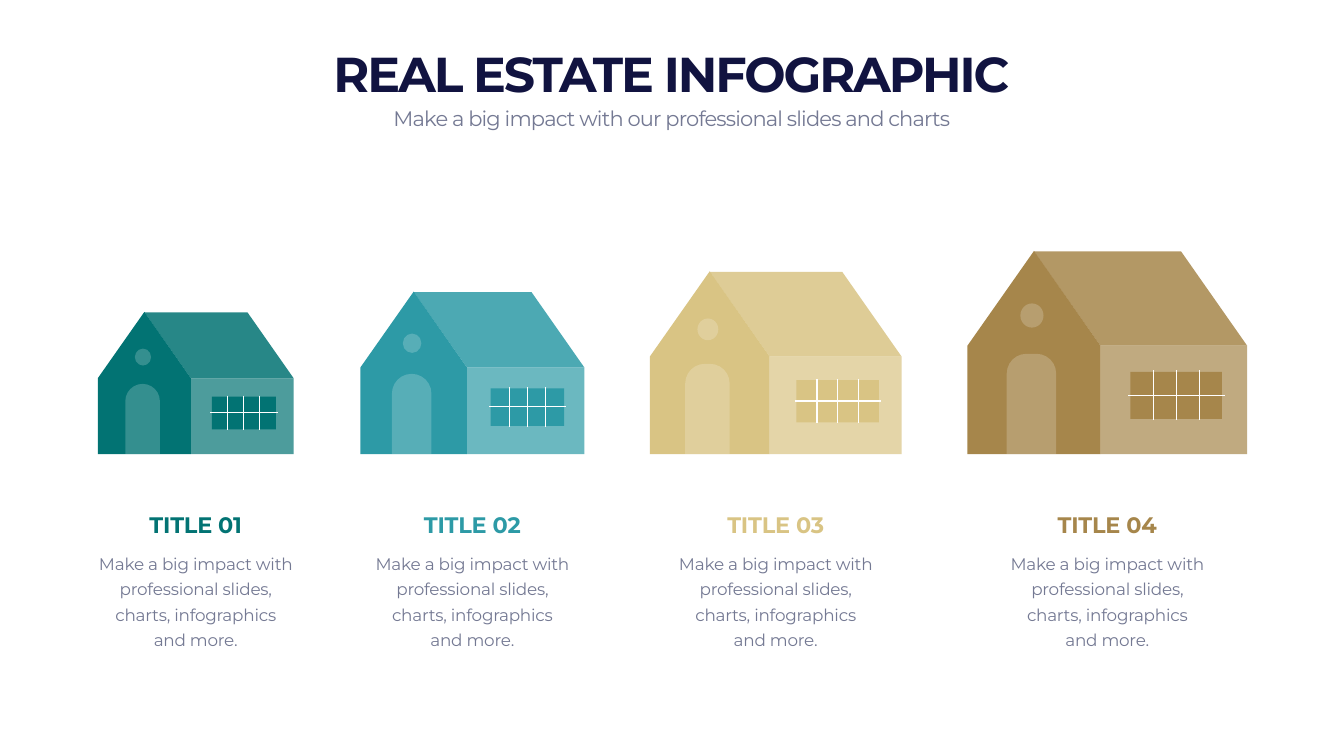
from pptx import Presentation
from pptx.util import Inches, Pt
from pptx.dml.color import RGBColor
from pptx.enum.shapes import MSO_SHAPE, MSO_CONNECTOR
from pptx.enum.text import PP_ALIGN, MSO_ANCHOR, MSO_AUTO_SIZE
from pptx.oxml.ns import qn
from lxml.etree import SubElement

COLORS = {"navy": "111340", "gray": "747993", "white": "FFFFFF",
          "teal": "027373", "aqua": "2D9AA6", "sand": "D9C484", "brown": "A6864B"}

deck = Presentation()
deck.slide_width, deck.slide_height = Inches(26.66), Inches(15)
slide = deck.slides.add_slide(deck.slide_layouts[6])


def paint(shape, color, alpha):
    shape.shadow.inherit = False
    shape.fill.solid()
    shape.fill.fore_color.rgb = RGBColor.from_string(COLORS[color])
    shape.line.fill.background()
    if alpha < 100:
        tint = shape.fill._xPr.find(".//" + qn("a:srgbClr"))
        SubElement(tint, qn("a:alpha")).set("val", str(alpha * 1000))


def write(box, text, size, color, bold, space, anchor, pitch=None):
    shape = slide.shapes.add_textbox(*map(Inches, box))
    frame = shape.text_frame
    frame.text = text
    frame.word_wrap = True
    frame.auto_size = MSO_AUTO_SIZE.SHAPE_TO_FIT_TEXT
    frame.vertical_anchor = anchor
    para = frame.paragraphs[0]
    para.alignment = PP_ALIGN.CENTER
    if pitch:
        para.line_spacing = Pt(pitch)
    run = para.runs[0]
    run.font.name = "Montserrat"
    run.font.size = Pt(size)
    run.font.bold = bold
    run.font.color.rgb = RGBColor.from_string(COLORS[color])
    run._r.get_or_add_rPr().set("spc", str(space))


base = 9.01
front = [(0, -2.15), (1.32, -4.03), (2.64, -2.15), (2.64, 0), (0, 0)]
roof = [(1.32, -4.02), (4.24, -4.02), (5.55, -2.15), (2.64, -2.15)]
parts = [
    (MSO_SHAPE.ROUND_2_SAME_RECTANGLE, (0.78, -1.99, 0.98, 1.99), "white", 20),
    (MSO_SHAPE.RECTANGLE, (2.64, -2.15, 2.91, 2.15), None, 70),
    (MSO_SHAPE.RECTANGLE, (3.23, -1.63, 1.82, 0.93), None, 100),
    (MSO_SHAPE.OVAL, (1.05, -2.99, 0.46, 0.48), "white", 20),
]
bars = [(3.19, -1.17, 5.1, -1.17)]
for col in range(1, 4):
    x = 3.23 + 1.82 / 4 * col
    bars.append((x, -1.66, x, -0.68))

houses = [(1.94, 0.7, "teal"), (7.15, 0.8, "aqua"),
          (12.89, 0.9, "sand"), (19.19, 1, "brown")]

for left, scale, color in houses:
    house = slide.shapes.add_group_shape().shapes
    for points, alpha in [(front, 100), (roof, 85)]:
        spots = [(Inches(left + x * scale), Inches(base + y * scale)) for x, y in points]
        path = house.build_freeform(*spots[0])
        path.add_line_segments(spots[1:])
        paint(path.convert_to_shape(), color, alpha)
    for kind, (x, y, wide, high), tone, alpha in parts:
        shape = house.add_shape(kind, Inches(left + x * scale), Inches(base + y * scale),
                                Inches(wide * scale), Inches(high * scale))
        paint(shape, tone or color, alpha)
        if kind == MSO_SHAPE.ROUND_2_SAME_RECTANGLE:
            shape.adjustments[0] = min(0.5, 0.39 / (wide * scale))
    for x1, y1, x2, y2 in bars:
        bar = house.add_connector(
            MSO_CONNECTOR.STRAIGHT,
            Inches(left + x1 * scale), Inches(base + y1 * scale),
            Inches(left + x2 * scale), Inches(base + y2 * scale))
        bar.line.width = Pt(1.5)
        bar.line.color.rgb = RGBColor.from_string(COLORS["white"])
        SubElement(bar._element.spPr, qn("a:effectLst"))

write((1.66, 0.8, 23.33, 1.28), "REAL ESTATE INFOGRAPHIC",
      70, "navy", True, -290, MSO_ANCHOR.BOTTOM)
write((1.66, 2.04, 23.33, 0.61), "Make a big impact with our professional slides and charts",
      30, "gray", False, -120, MSO_ANCHOR.TOP)

for num, (left, scale, color) in enumerate(houses, 1):
    side = left + 5.55 * scale / 2 - 2.05
    write((side, 10.09, 4.1, 0.64), f"TITLE {num:02}",
          32, color, True, -30, MSO_ANCHOR.BOTTOM)
    write((side, 10.84, 4.1, 2.08),
          "Make a big impact with professional slides, charts, infographics and more.",
          24, "gray", False, -30, MSO_ANCHOR.TOP, 36)

deck.save("out.pptx")
